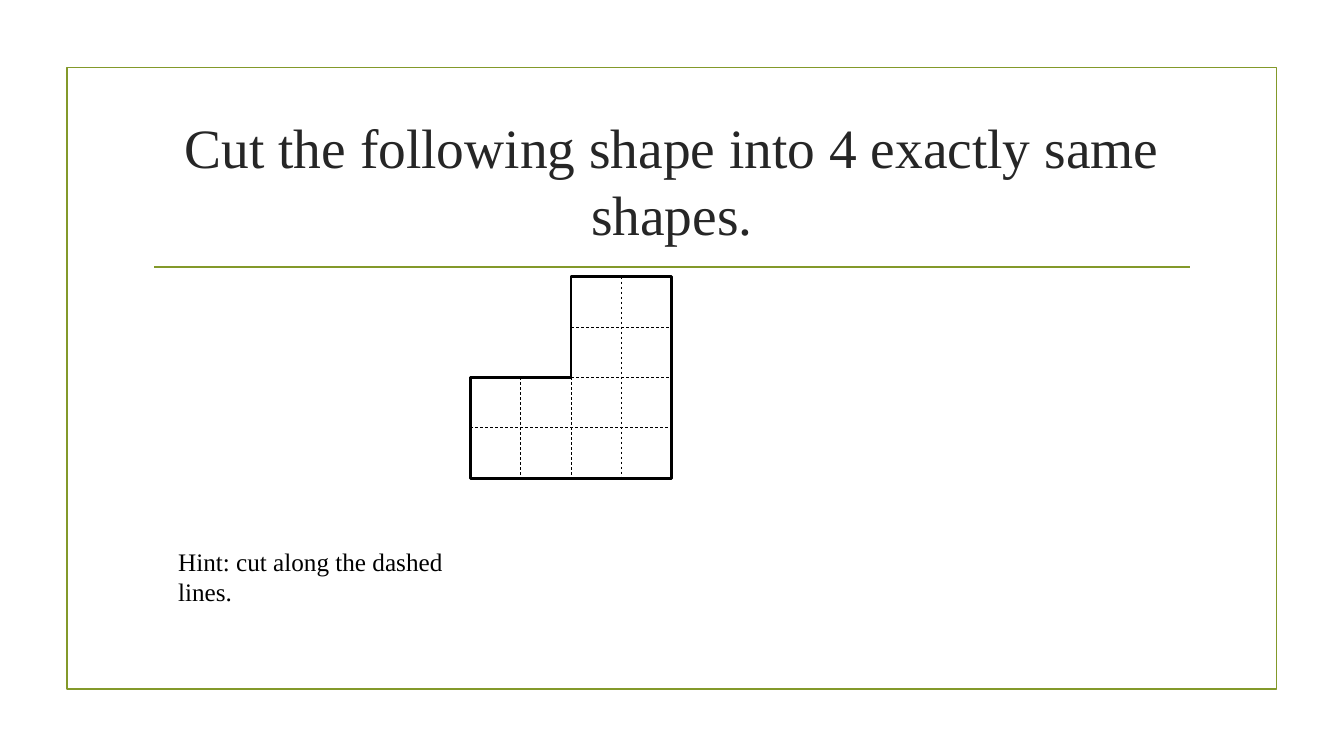
from dataclasses import dataclass
from lxml import etree
from pptx import Presentation
from pptx.dml.color import RGBColor
from pptx.enum.dml import MSO_LINE
from pptx.enum.shapes import MSO_CONNECTOR, MSO_SHAPE
from pptx.enum.text import MSO_ANCHOR, PP_ALIGN
from pptx.oxml.ns import qn
from pptx.util import Cm, Pt

TITLE = "Cut the following shape into 4 exactly same shapes."
HINT = "Hint: cut along the dashed lines."
OUTLINE = [(0, 2), (2, 2), (2, 0), (4, 0), (4, 4), (0, 4)]
CUTS = [
    ((0, 3), (4, 3)),
    ((2, 2), (4, 2)),
    ((2, 1), (4, 1)),
    ((1, 2), (1, 4)),
    ((2, 2), (2, 4)),
    ((3, 0), (3, 4)),
]


@dataclass(frozen=True)
class Theme:
    font: str = "Times New Roman"
    green: RGBColor = RGBColor(0x83, 0x99, 0x2A)
    charcoal: RGBColor = RGBColor(0x26, 0x26, 0x26)
    black: RGBColor = RGBColor(0, 0, 0)
    title_size: float = 39.6
    hint_size: float = 18
    frame_width: float = 1.25
    outline_width: float = 2
    cut_width: float = 0.5


THEME = Theme()
CELL = 1.27
PUZZLE_LEFT, PUZZLE_TOP = 11.85, 6.97


def grid_point(column, row):
    return Cm(PUZZLE_LEFT + column * CELL), Cm(PUZZLE_TOP + row * CELL)


def style_line(line, color, width):
    line.color.rgb = color
    line.width = Pt(width)


def style_outline(shape, color, width):
    shape.shadow.inherit = False
    shape.fill.background()
    style_line(shape.line, color, width)


def add_line(slide, start, end, color, width):
    connector = slide.shapes.add_connector(MSO_CONNECTOR.STRAIGHT, *start, *end)
    style_line(connector.line, color, width)
    etree.SubElement(connector._element.spPr, qn("a:effectLst"))
    return connector


def add_text(slide, text, box, size, color, align, anchor):
    frame = slide.shapes.add_textbox(*map(Cm, box)).text_frame
    frame.word_wrap = True
    frame.vertical_anchor = anchor
    paragraph = frame.paragraphs[0]
    paragraph.text = text
    paragraph.alignment = align
    paragraph.font.name = THEME.font
    paragraph.font.size = Pt(size)
    paragraph.font.color.rgb = color


def add_puzzle(slide):
    corners = [grid_point(*corner) for corner in OUTLINE]
    builder = slide.shapes.build_freeform(*corners[0])
    builder.add_line_segments(corners[1:], close=True)
    style_outline(builder.convert_to_shape(), THEME.black, THEME.outline_width)
    for start, end in CUTS:
        cut = add_line(slide, grid_point(*start), grid_point(*end),
                       THEME.black, THEME.cut_width)
        cut.line.dash_style = MSO_LINE.DASH


def main():
    deck = Presentation()
    deck.slide_width, deck.slide_height = Cm(33.87), Cm(19.05)
    slide = deck.slides.add_slide(deck.slide_layouts[6])

    border = slide.shapes.add_shape(
        MSO_SHAPE.RECTANGLE, Cm(1.69), Cm(1.7), Cm(30.48), Cm(15.67))
    style_outline(border, THEME.green, THEME.frame_width)
    add_line(slide, (Cm(3.89), Cm(6.73)), (Cm(30), Cm(6.73)),
             THEME.green, THEME.frame_width)

    add_text(slide, TITLE, (3.6, 2.72, 26.67, 3.63), THEME.title_size,
             THEME.charcoal, PP_ALIGN.CENTER, MSO_ANCHOR.MIDDLE)
    add_puzzle(slide)
    add_text(slide, HINT, (4.24, 13.64, 8.46, 1.02), THEME.hint_size,
             THEME.black, PP_ALIGN.LEFT, MSO_ANCHOR.TOP)

    deck.save("out.pptx")


if __name__ == "__main__":
    main()
